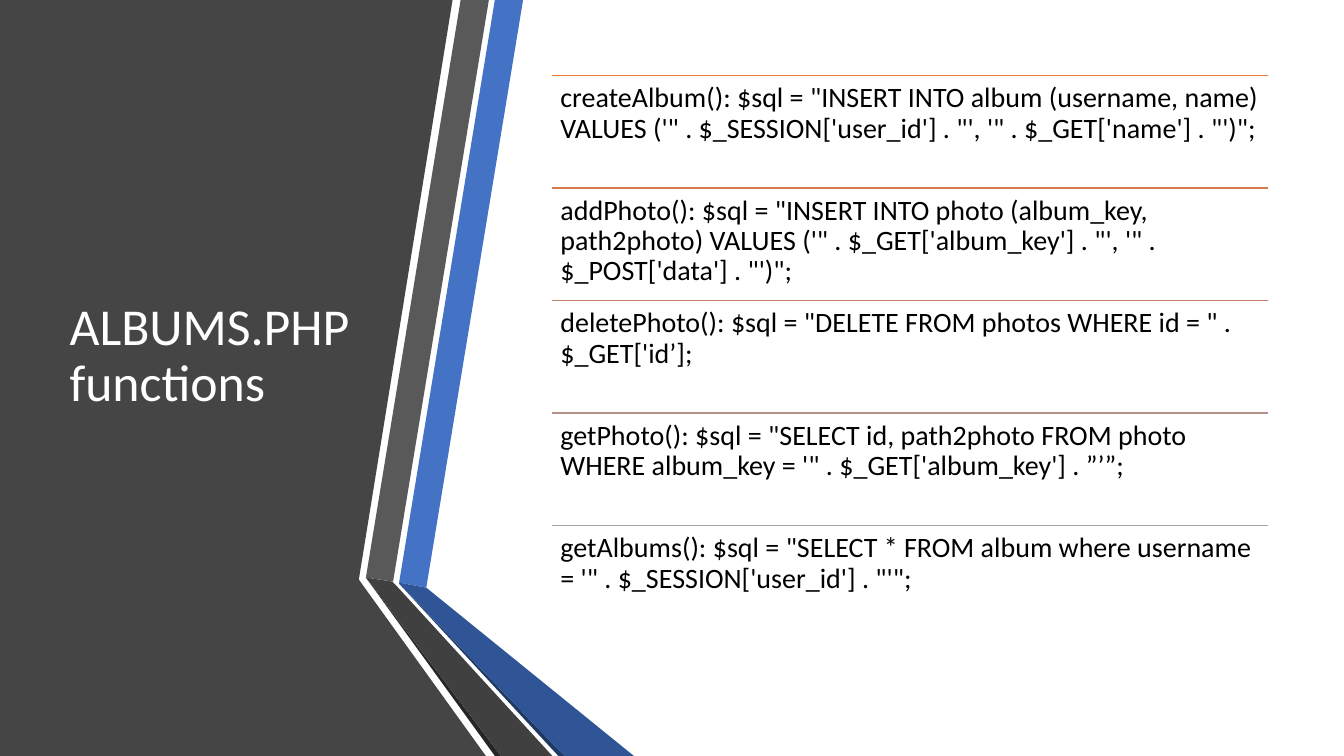
from lxml import etree
from pptx import Presentation
from pptx.dml.color import RGBColor
from pptx.enum.shapes import MSO_CONNECTOR
from pptx.enum.text import MSO_ANCHOR, MSO_AUTO_SIZE, PP_ALIGN
from pptx.oxml.ns import qn
from pptx.util import Pt

STRAIGHT = MSO_CONNECTOR.STRAIGHT
TOP, MIDDLE = MSO_ANCHOR.TOP, MSO_ANCHOR.MIDDLE
NO_AUTOFIT = MSO_AUTO_SIZE.NONE
LEFT = PP_ALIGN.LEFT
PX = 9144

THEME = {
    "font": "Calibri",
    "title_size": 37,
    "body_size": 20,
    "title": "FFFFFF",
    "body": "000000",
    "panel": "454545",
    "blue": "4472C4",
    "blue_fold": "2F5597",
    "blue_shadow": "203864",
    "gray": "595959",
    "gray_fold": "404040",
    "gray_shadow": "262626",
    "dividers": ["ED7D31", "D87A51", "C48170", "B4908B", "A5A5A5"],
}

BANDS = [
    ("panel", [(0, 0), (449, 0), (356, 575), (482, 750), (0, 750)]),
    ("blue", [(396, 578), (423, 583), (519, 0), (491, 0)]),
    ("gray", [(485, 0), (457, 0), (363, 573), (390, 577)]),
    ("gray_shadow", [(363, 573), (491, 750), (497, 750)]),
    ("blue_shadow", [(396, 579), (554, 750), (560, 750)]),
    ("blue_fold", [(396, 579), (560, 750), (629, 750), (423, 583), (396, 578)]),
    ("gray_fold", [(548, 750), (395, 583), (389, 577), (363, 573), (497, 750)]),
]

QUERIES = [
    '''createAlbum(): $sql = "INSERT INTO album (username, name) VALUES ('" . $_SESSION['user_id'] . "', '" . $_GET['name'] . "')";''',
    '''addPhoto(): $sql = "INSERT INTO photo (album_key, path2photo) VALUES ('" . $_GET['album_key'] . "', '" . $_POST['data'] . "')";''',
    '''deletePhoto(): $sql = "DELETE FROM photos WHERE id = " . $_GET['id’];''',
    '''getPhoto(): $sql = "SELECT id, path2photo FROM photo WHERE album_key = '" . $_GET['album_key'] . ”’”;''',
    '''getAlbums(): $sql = "SELECT * FROM album where username = '" . $_SESSION['user_id'] . "'";''',
]
LIST_LEFT, LIST_TOP, LIST_WIDTH, LIST_HEIGHT = 548, 75, 710, 558
INSET = 8


def place(shape, left, top, width, height):
    shape.left, shape.top = round(left * PX), round(top * PX)
    shape.width, shape.height = round(width * PX), round(height * PX)


def write(shape, text, size, color, anchor):
    text_frame = shape.text_frame
    text_frame.text = text
    text_frame.word_wrap = True
    text_frame.auto_size = NO_AUTOFIT
    text_frame.vertical_anchor = anchor
    paragraph = text_frame.paragraphs[0]
    paragraph.alignment = LEFT
    paragraph.line_spacing = 0.9
    font = paragraph.runs[0].font
    font.name = THEME["font"]
    font.size = Pt(size)
    font.color.rgb = RGBColor.from_string(color)


presentation = Presentation()
presentation.slide_width = 12192000
presentation.slide_height = 750 * PX
slide = presentation.slides.add_slide(presentation.slide_layouts[5])
shapes = slide.shapes

for color_name, points in BANDS:
    builder = shapes.build_freeform(*points[0], scale=PX)
    builder.add_line_segments(points[1:], close=True)
    band = builder.convert_to_shape()
    band.shadow.inherit = False
    band.fill.solid()
    band.fill.fore_color.rgb = RGBColor.from_string(THEME[color_name])
    band.line.fill.background()

title = shapes.title
shapes.element.append(title.element)
place(title, 59, 75, 304, 558)
write(title, "ALBUMS.PHP functions", THEME["title_size"], THEME["title"], MIDDLE)

row_height = LIST_HEIGHT / len(QUERIES)
for row, (query, color) in enumerate(zip(QUERIES, THEME["dividers"])):
    top = LIST_TOP + row * row_height
    divider = shapes.add_connector(STRAIGHT, 0, 0, 0, 0)
    place(divider, LIST_LEFT, top, LIST_WIDTH, 0)
    divider.line.color.rgb = RGBColor.from_string(color)
    divider.line.width = Pt(1)
    etree.SubElement(divider.element.spPr, qn("a:effectLst"))

    box = shapes.add_textbox(0, 0, 0, 0)
    place(box, LIST_LEFT, top, LIST_WIDTH, row_height)
    write(box, query, THEME["body_size"], THEME["body"], TOP)
    text_frame = box.text_frame
    text_frame.margin_left = text_frame.margin_right = INSET * PX
    text_frame.margin_top = text_frame.margin_bottom = INSET * PX

presentation.save("out.pptx")
